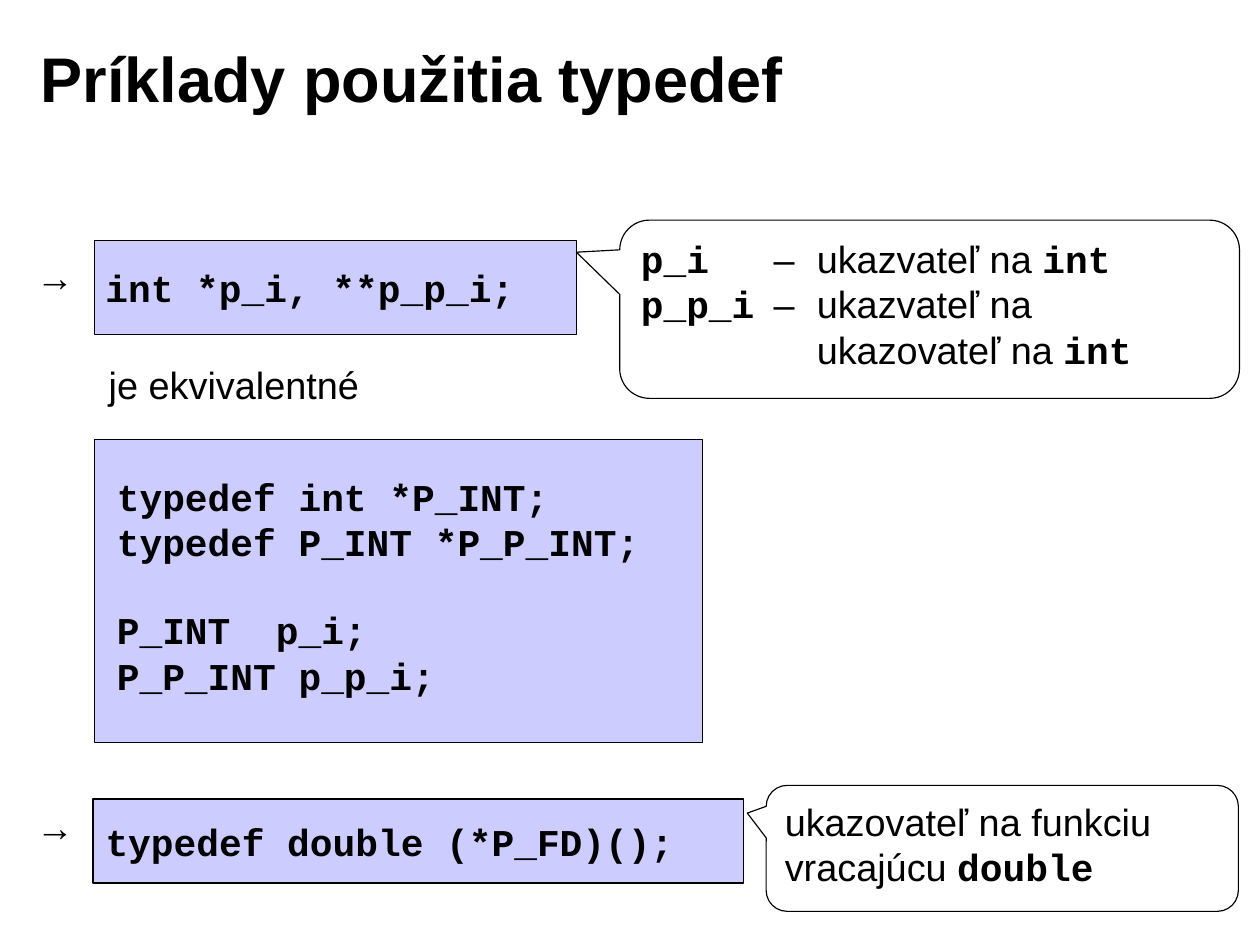
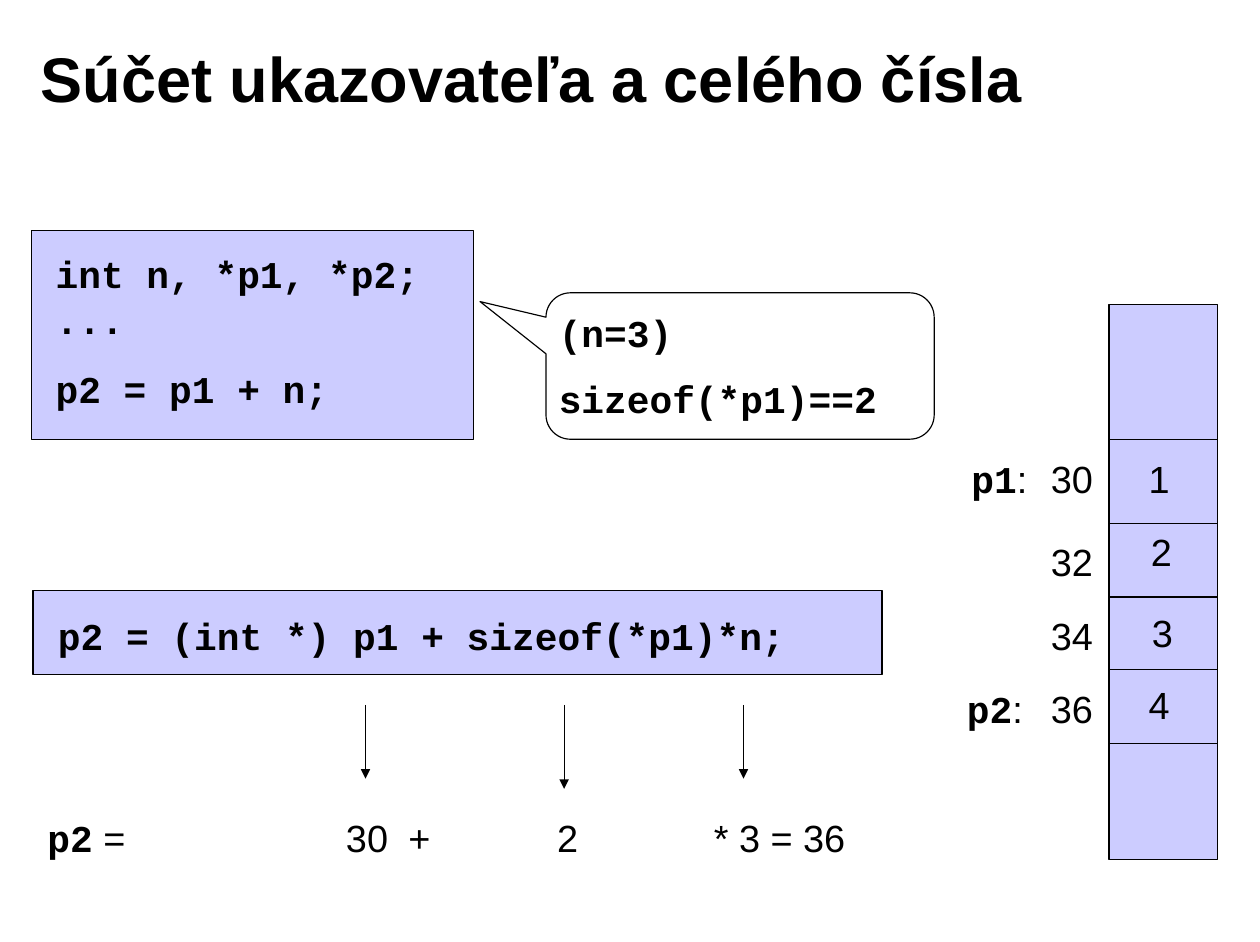
"""Build two slides on C typedefs and pointer arithmetic."""
import pptx
import pptx.util
import pptx.dml.color
import pptx.enum.shapes
import pptx.enum.text
from lxml import etree
from pptx.oxml.ns import qn

Inches = pptx.util.Inches
Pt = pptx.util.Pt
SHAPE = pptx.enum.shapes.MSO_SHAPE
ANCHOR = pptx.enum.text.MSO_ANCHOR
BLACK, WHITE, CODE_FILL = "000000", "FFFFFF", "CCCCFF"


def rgb(color):
    return pptx.dml.color.RGBColor.from_string(color)


def write(sp, text, size=24, bold=False, left=0.1, top=0.05, bottom=0.05,
          anchor=ANCHOR.TOP, tabs=(), gaps=()):
    tf = sp.text_frame
    tf.word_wrap = True
    tf.auto_size = pptx.enum.text.MSO_AUTO_SIZE.NONE
    tf.vertical_anchor = anchor
    tf.margin_left, tf.margin_right = Inches(left), Inches(0.1)
    tf.margin_top, tf.margin_bottom = Inches(top), Inches(bottom)
    for i, line in enumerate(text.split("\n")):
        p = tf.paragraphs[0] if i == 0 else tf.add_paragraph()
        if tabs:
            tab_list = etree.SubElement(p._p.get_or_add_pPr(), qn("a:tabLst"))
            for pos in tabs:
                etree.SubElement(tab_list, qn("a:tab"), pos=str(Inches(pos)), algn="l")
        p.alignment = pptx.enum.text.PP_ALIGN.LEFT
        if i in dict(gaps):
            p.space_before = Pt(dict(gaps)[i])
        for j, part in enumerate(line.split("`")):
            if part:
                r = p.add_run()
                r.text = part
                r.font.name = "Courier New" if j % 2 else "Arial"
                r.font.size = Pt(size)
                r.font.bold = bold or j % 2 == 1
                r.font.color.rgb = rgb(BLACK)


prs = pptx.Presentation()
prs.slide_width, prs.slide_height = Inches(11.1), Inches(8.3)

slides = []
for title in ("Príklady použitia typedef", "Súčet ukazovateľa a celého čísla"):
    s = prs.slides.add_slide(prs.slide_layouts[5])
    sp = s.shapes.title
    sp.left, sp.top, sp.width, sp.height = map(Inches, (0.25, 0.17, 8.91, 1.02))
    write(sp, title, size=40, bold=True, left=0.11, anchor=ANCHOR.MIDDLE)
    slides.append(s)
typedef_slide, sum_slide = slides

code_boxes = [
    (typedef_slide, (0.83, 2.12, 4.25, 0.83), "`int *p_i, **p_p_i;`",
     dict(anchor=ANCHOR.MIDDLE)),
    (typedef_slide, (0.83, 3.87, 5.36, 2.67),
     "`typedef int *P_INT;`\n`typedef P_INT *P_P_INT;`\n`P_INT  p_i;`\n`P_P_INT p_p_i;`",
     dict(anchor=ANCHOR.MIDDLE, left=0.2, bottom=0.14, gaps={2: 27.2})),
    (typedef_slide, (0.82, 7.04, 5.73, 0.74), "`typedef double (*P_FD)();`",
     dict(anchor=ANCHOR.MIDDLE, left=0.11)),
    (sum_slide, (0.28, 2.03, 3.89, 1.84), "`int n, *p1, *p2;`\n`...`\n`p2 = p1 + n;`",
     dict(left=0.21, top=0.18, gaps={2: 15.4})),
    (sum_slide, (0.29, 5.2, 7.48, 0.74), "`p2 = (int *) p1 + sizeof(*p1)*n;`",
     dict(left=0.22, top=0.2)),
    (sum_slide, (9.77, 2.68, 0.96, 4.89), "", {}),
]
for s, place, text, fmt in code_boxes:
    sp = s.shapes.add_shape(SHAPE.RECTANGLE, *map(Inches, place))
    sp.fill.solid()
    sp.fill.fore_color.rgb = rgb(CODE_FILL)
    write(sp, text, **fmt)

callouts = [
    (typedef_slide, (5.46, 1.94, 5.46, 1.57), (-0.57, -0.32),
     "`p_i`\t–\tukazvateľ na `int`\n`p_p_i`\t–\tukazvateľ na\n\t\tukazovateľ na `int`",
     dict(left=0.11, top=0.06, tabs=(1.17, 1.55))),
    (typedef_slide, (6.75, 6.92, 4.16, 1.11), (-0.54, -0.28),
     "ukazovateľ na funkciu\nvracajúcu `double`", dict(left=0.11, top=0.06)),
    (sum_slide, (4.81, 2.58, 3.42, 1.29), (-0.67, -0.44),
     "`(n=3)`\n`sizeof(*p1)==2`", dict(left=0.05, top=0.09, gaps={1: 13})),
]
for s, place, tip, text, fmt in callouts:
    sp = s.shapes.add_shape(SHAPE.ROUNDED_RECTANGULAR_CALLOUT, *map(Inches, place))
    sp.adjustments[0], sp.adjustments[1] = tip
    sp.fill.solid()
    sp.fill.fore_color.rgb = rgb(WHITE)
    write(sp, text, **fmt)

for s in slides:
    for sp in s.shapes:
        if not sp.is_placeholder:
            sp.shadow.inherit = False
            sp.line.color.rgb = rgb(BLACK)
            sp.line.width = Pt(0.75)

labels = [
    (typedef_slide, "→", 0.22, 2.19, 0.47, {}),
    (typedef_slide, "→", 0.22, 7.03, 0.47, {}),
    (typedef_slide, "je ekvivalentné", 0.86, 3.14, 2.6, {}),
    (sum_slide, "`p1`:", 8.46, 3.97, 1.02, {}),
    (sum_slide, "`p2`:", 8.42, 5.99, 1.02, {}),
    (sum_slide, "`p2` =\t30\t+\t2\t* 3 = 36", 0.32, 7.13, 7.4,
     dict(tabs=(2.63, 3.18, 4.49, 5.87))),
]
cells = [(3.97, 10.02, 3.97), (4.7, 10.04, 4.61), (5.35, 10.05, 5.32), (5.99, 10.02, 5.96)]
for i, (address_y, value_x, value_y) in enumerate(cells):
    labels.append((sum_slide, str(30 + 2 * i), 9.16, address_y, 0.83, {}))
    labels.append((sum_slide, str(i + 1), value_x, value_y, 0.5, {}))
for s, text, x, y, w, fmt in labels:
    write(s.shapes.add_textbox(*map(Inches, (x, y, w, 0.5))), text, **fmt)

dividers = [(9.77, y, 10.73, y, False) for y in (3.87, 4.61, 5.26, 5.9, 6.55)]
arrows = [(x, 6.21, x, y, True) for x, y in ((3.22, 6.86), (4.97, 6.95), (6.55, 6.86))]
for *ends, arrow in dividers + arrows:
    line = sum_slide.shapes.add_connector(
        pptx.enum.shapes.MSO_CONNECTOR.STRAIGHT, *map(Inches, ends))
    line.line.color.rgb = rgb(BLACK)
    line.line.width = Pt(0.75)
    if arrow:
        etree.SubElement(line.line._get_or_add_ln(), qn("a:tailEnd"), type="triangle")
    etree.SubElement(line._element.spPr, qn("a:effectLst"))

prs.save("out.pptx")
